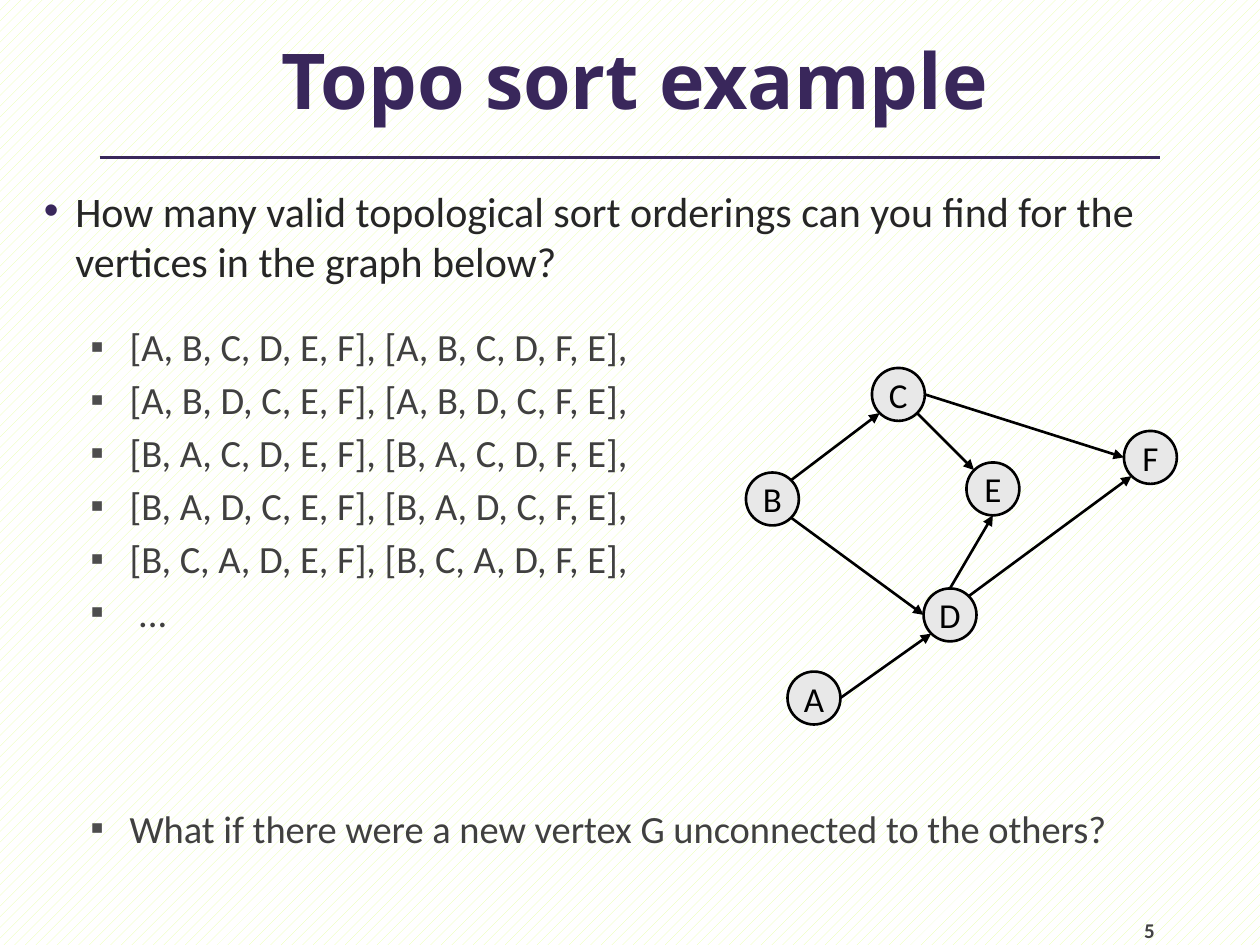
from pptx import Presentation
from pptx.dml.color import RGBColor
from pptx.enum.dml import MSO_PATTERN
from pptx.enum.shapes import MSO_CONNECTOR, MSO_SHAPE
from pptx.enum.text import MSO_ANCHOR, MSO_AUTO_SIZE, PP_ALIGN
from pptx.oxml.ns import qn
from pptx.util import Inches, Pt
from lxml import etree

STRAIGHT = MSO_CONNECTOR.STRAIGHT
OVAL = MSO_SHAPE.OVAL
DOTS = MSO_PATTERN.PERCENT_20
MIDDLE, BOTTOM = MSO_ANCHOR.MIDDLE, MSO_ANCHOR.BOTTOM
LEFT, CENTER = PP_ALIGN.LEFT, PP_ALIGN.CENTER
FIXED = MSO_AUTO_SIZE.NONE

PURPLE = RGBColor(0x39, 0x27, 0x5B)
INK = RGBColor(0x26, 0x26, 0x26)
GREY = RGBColor(0x40, 0x40, 0x40)
MARK = RGBColor(0x4D, 0x4D, 0x4D)
FOOT = RGBColor(0x42, 0x42, 0x42)
BLACK = RGBColor(0, 0, 0)
WHITE = RGBColor(0xFF, 0xFF, 0xFF)
LIME = RGBColor(0xE6, 0xFF, 0x9F)
NODE = RGBColor(0xE8, 0xE8, 0xE8)

BODY = [
    "[A, B, C, D, E, F], [A, B, C, D, F, E],",
    "[A, B, D, C, E, F], [A, B, D, C, F, E],",
    "[B, A, C, D, E, F], [B, A, C, D, F, E],",
    "[B, A, D, C, E, F], [B, A, D, C, F, E],",
    "[B, C, A, D, E, F], [B, C, A, D, F, E],",
    " ...",
]

# Top left corner of each vertex, from the corner of the graph
SIZE = 0.42
NODES = {"A": (0.33, 2.41), "B": (0, 0.83), "C": (1, 0),
         "D": (1.41, 1.75), "E": (1.75, 0.75), "F": (3, 0.5)}
# Points on a vertex's rim, as steps of the radius from its centre
DIAG = 0.71
RIM = {"n": (0, -1), "s": (0, 1), "w": (-1, 0), "e": (1, 0),
       "ne": (DIAG, -DIAG), "nw": (-DIAG, -DIAG),
       "se": (DIAG, DIAG), "sw": (-DIAG, DIAG)}
EDGES = [("B", "ne", "C", "sw"), ("C", "e", "F", "w"), ("B", "se", "D", "w"),
         ("D", "ne", "F", "sw"), ("A", "e", "D", "sw"), ("C", "se", "E", "nw"),
         ("D", "n", "E", "s")]


def add_bullet(para, char, color, left, hang):
    props = para._p.get_or_add_pPr()
    props.set("marL", str(Inches(left)))
    props.set("indent", str(Inches(-hang)))
    tint = etree.SubElement(props, qn("a:buClr"))
    etree.SubElement(tint, qn("a:srgbClr"), val=str(color))
    etree.SubElement(props, qn("a:buFont"), typeface="Arial")
    etree.SubElement(props, qn("a:buChar"), char=char)


def write(para, text, size, color, font="Calibri", bold=False, align=LEFT,
          before=0, bullet=None):
    if bullet:
        add_bullet(para, *bullet)
    para.alignment = align
    para.space_before = Pt(before)
    run = para.add_run()
    run.text = text
    run.font.name, run.font.size, run.font.bold = font, Pt(size), bold
    run.font.color.rgb = color


def add_line(shapes, start, end, color, width, arrow=False):
    line = shapes.add_connector(STRAIGHT, *(Inches(v) for v in (*start, *end)))
    line.line.color.rgb = color
    line.line.width = Pt(width)
    if arrow:
        etree.SubElement(line.line._get_or_add_ln(), qn("a:tailEnd"),
                         type="triangle")
    etree.SubElement(line._element.spPr, qn("a:effectLst"))


def place_title(slide, x, y, w, h):
    title = slide.shapes.title
    title.left, title.top, title.width, title.height = map(Inches, (x, y, w, h))
    frame = title.text_frame
    frame.auto_size = FIXED
    frame.vertical_anchor = MIDDLE
    write(frame.paragraphs[0], "Topo sort example", 44, PURPLE,
          font="Noto Sans", bold=True, align=CENTER)
    add_line(slide.shapes, (x + 0.75, 1.25), (x + w - 0.83, 1.25), PURPLE, 2.25)


def place_body(slide, x, y, w, h):
    frame = slide.shapes.add_textbox(*map(Inches, (x, y, w, h))).text_frame
    frame.word_wrap = True
    write(frame.paragraphs[0],
          "How many valid topological sort orderings can you find for the "
          "vertices in the graph below?", 24, INK,
          bullet=("•", PURPLE, 0.5, 0.25))
    square = ("▪", MARK, 0.93, 0.31)
    for i, text in enumerate(BODY):
        write(frame.add_paragraph(), text, 22, GREY,
              before=4 if i else 21, bullet=square)
    write(frame.add_paragraph(),
          "What if there were a new vertex G unconnected to the others?",
          22, GREY, before=97, bullet=square)


def place_graph(slide, x, y):
    shapes = slide.shapes.add_group_shape().shapes

    def rim(name, side):
        return [base + at + SIZE / 2 * (1 + step)
                for base, at, step in zip((x, y), NODES[name], RIM[side])]

    for name, (dx, dy) in NODES.items():
        node = shapes.add_shape(OVAL, Inches(x + dx), Inches(y + dy),
                                Inches(SIZE), Inches(SIZE))
        node.shadow.inherit = False
        node.fill.solid()
        node.fill.fore_color.rgb = NODE
        node.line.color.rgb = BLACK
        node.line.width = Pt(1.5)
        frame = node.text_frame
        frame.word_wrap = False
        frame.vertical_anchor = MIDDLE
        write(frame.paragraphs[0], name, 20, BLACK, align=CENTER)
    for tail, out, head, side in EDGES:
        add_line(shapes, rim(tail, out), rim(head, side), BLACK, 1.5, arrow=True)


def place_number(slide, x, y, w, h):
    frame = slide.shapes.add_textbox(*map(Inches, (x, y, w, h))).text_frame
    frame.margin_left = frame.margin_right = 0
    frame.margin_top = frame.margin_bottom = 0
    frame.word_wrap = True
    frame.vertical_anchor = BOTTOM
    write(frame.paragraphs[0], "5", 12, FOOT, bold=True)


def main():
    deck = Presentation()
    deck.slide_width, deck.slide_height = Inches(10), Inches(7.5)
    slide = deck.slides.add_slide(deck.slide_layouts[5])
    fill = slide.background.fill
    fill.patterned()
    fill.pattern = DOTS
    fill.fore_color.rgb = LIME
    fill.back_color.rgb = WHITE
    place_title(slide, 0.04, 0, 10, 1.25)
    place_body(slide, 0, 1.42, 10, 6.08)
    place_graph(slide, 5.92, 2.92)
    place_number(slide, 9.08, 7.08, 0.83, 0.4)
    deck.save("out.pptx")


if __name__ == "__main__":
    main()
